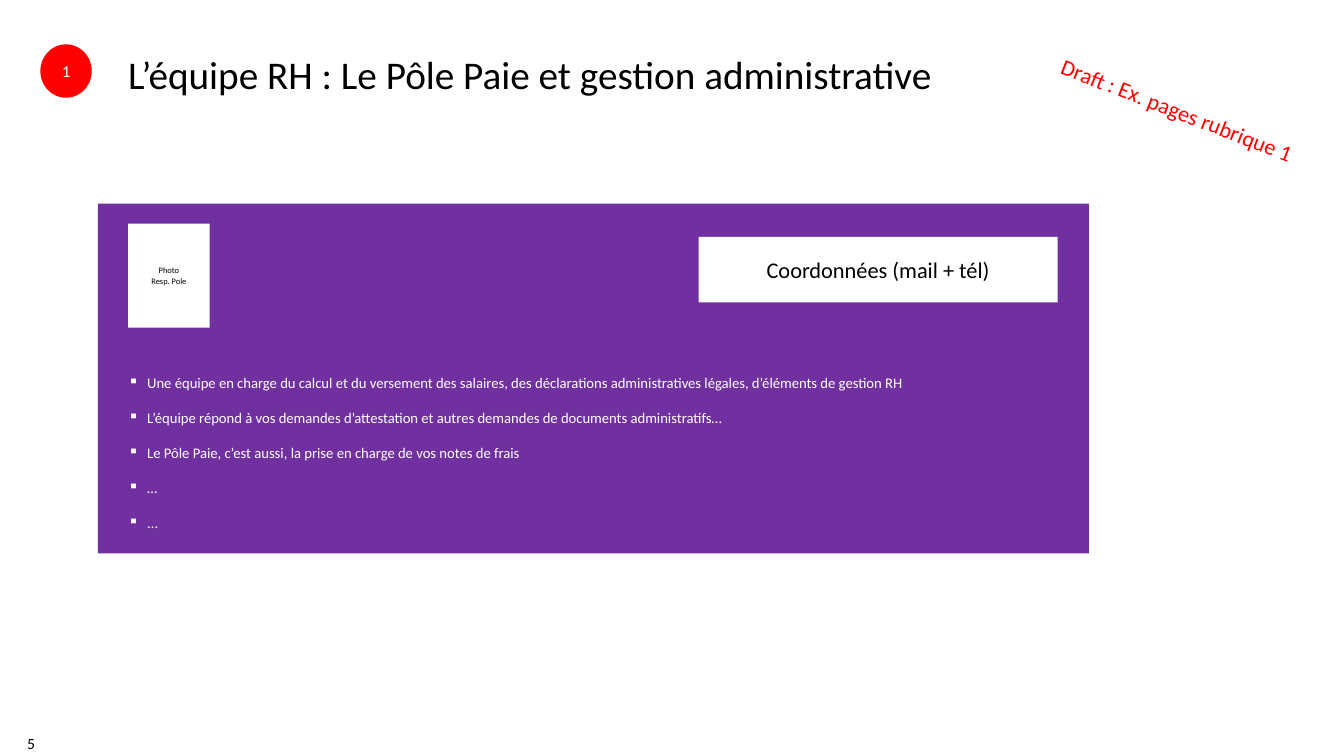
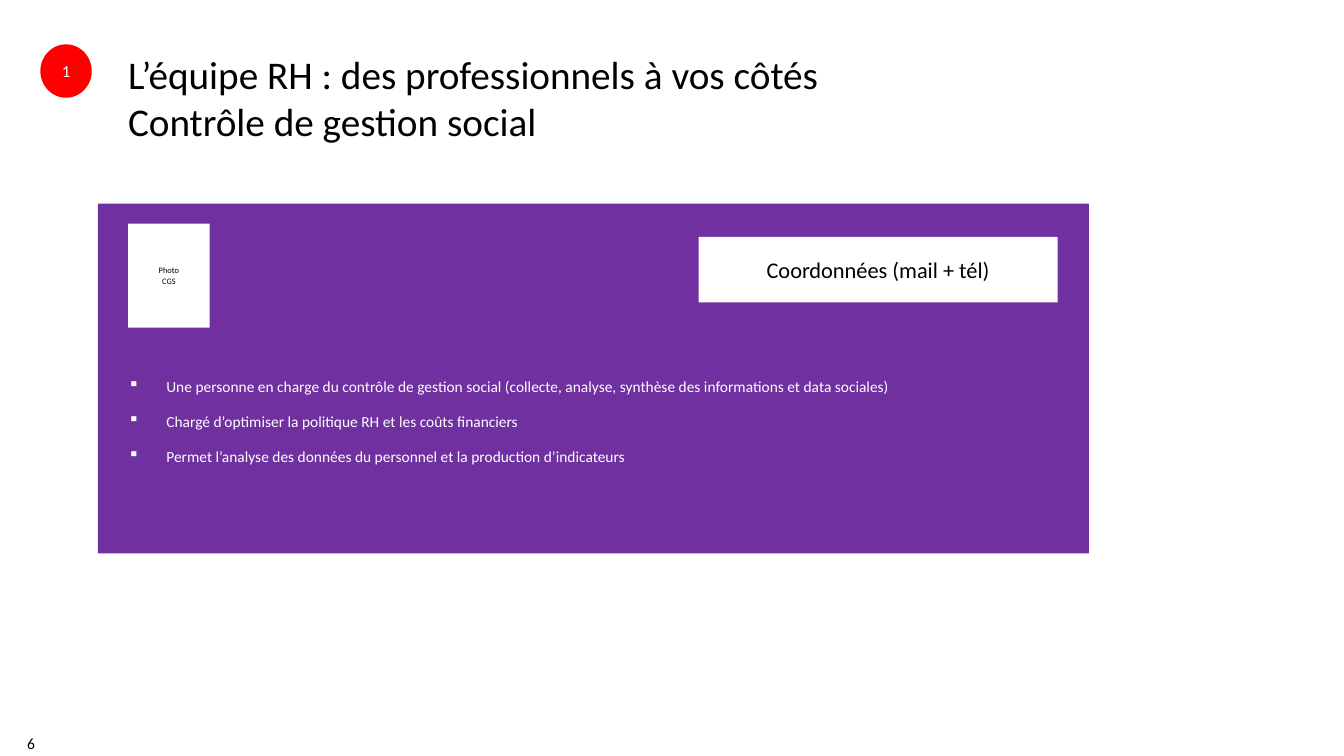
import pptx
import pptx.dml.color
import pptx.enum.shapes
import pptx.enum.text
import pptx.oxml.ns
import pptx.util
from dataclasses import dataclass
from lxml import etree

Inches = pptx.util.Inches
Pt = pptx.util.Pt
RGB = pptx.dml.color.RGBColor
Align = pptx.enum.text.PP_ALIGN
Anchor = pptx.enum.text.MSO_ANCHOR
Shape = pptx.enum.shapes.MSO_SHAPE


@dataclass(frozen=True)
class Theme:
    font: str = "Calibri"
    ink: str = "000000"
    paper: str = "FFFFFF"
    panel: str = "7030A0"
    accent: str = "FF0000"
    title_size: float = 28
    label_size: float = 16
    badge_size: float = 12
    number_size: float = 11.1
    photo_size: float = 6
    bullet_pitch: float = 25.2
    line_height: float = 1.22


def write(frame, text, *, size, color, font, align=Align.LEFT,
          anchor=Anchor.TOP, inset=0, space_after=0):
    """Put each line of text in a paragraph of its own."""
    frame.word_wrap = True
    frame.vertical_anchor = anchor
    frame.margin_left = frame.margin_right = Inches(inset)
    frame.margin_top = frame.margin_bottom = Inches(inset)
    for index, line in enumerate(text.split("\n")):
        paragraph = frame.paragraphs[0] if index == 0 else frame.add_paragraph()
        paragraph.alignment = align
        paragraph.space_after = Pt(space_after)
        run = paragraph.add_run()
        run.text = line
        run.font.size = Pt(size)
        run.font.name = font
        run.font.color.rgb = RGB.from_string(color)


class Deck:
    def __init__(self, theme):
        self.theme = theme
        self.presentation = pptx.Presentation()
        self.presentation.slide_width = Inches(13.33)
        self.presentation.slide_height = Inches(7.5)
        self.slide = None

    def new_slide(self, title, number):
        blank = self.presentation.slide_layouts[6]
        self.slide = self.presentation.slides.add_slide(blank)
        self.label(title, (1.27, 0.5, 10.5, 0.96), size=self.theme.title_size)
        self.label(number, (0.27, 7.32, 0.39, 0.1),
                   size=self.theme.number_size, anchor=Anchor.MIDDLE)

    def label(self, text, box, *, size, color=None, rotation=0, **style):
        textbox = self.slide.shapes.add_textbox(*map(Inches, box))
        textbox.rotation = rotation
        write(textbox.text_frame, text, size=size, font=self.theme.font,
              color=color or self.theme.ink, **style)
        return textbox

    def block(self, box, fill, text="", *, kind=Shape.RECTANGLE, size=12, color=None):
        block = self.slide.shapes.add_shape(kind, *map(Inches, box))
        block.shadow.inherit = False
        block.fill.solid()
        block.fill.fore_color.rgb = RGB.from_string(fill)
        block.line.fill.background()
        if text:
            write(block.text_frame, text, size=size, font=self.theme.font,
                  color=color or self.theme.ink, align=Align.CENTER,
                  anchor=Anchor.MIDDLE, inset=0.08)

    def bullets(self, lines, *, top, size, indent):
        gap = self.theme.bullet_pitch - size * self.theme.line_height
        listing = self.label("\n".join(lines), (1.27, top, 9.22, 1.59), size=size,
                             color=self.theme.paper, align=Align.JUSTIFY,
                             space_after=gap)
        for paragraph in listing.text_frame.paragraphs:
            properties = paragraph._p.get_or_add_pPr()
            properties.set("marL", str(Inches(indent)))
            properties.set("indent", str(-Inches(indent)))
            marker = etree.SubElement(properties, pptx.oxml.ns.qn("a:buChar"))
            marker.set("char", "▪")

    def team_card(self, photo, duties, **bullet_style):
        theme = self.theme
        self.block((0.97, 2.02, 9.83, 3.47), theme.panel)
        self.bullets(duties, **bullet_style)
        self.block((1.27, 2.22, 0.81, 1.03), theme.paper, photo, size=theme.photo_size)
        self.block((0.4, 0.44, 0.51, 0.53), theme.accent, "1", kind=Shape.OVAL,
                   size=theme.badge_size, color=theme.paper)
        self.block((6.93, 2.35, 3.56, 0.65), theme.paper,
                   "Coordonnées (mail + tél)", size=theme.label_size)

    def draft_mark(self, text):
        self.label(text, (10.44, 1.04, 2.9, 0.27), size=self.theme.label_size,
                   color=self.theme.accent, rotation=21.3)


def main():
    deck = Deck(Theme())

    deck.new_slide("L’équipe RH : Le Pôle Paie et gestion administrative", "5")
    deck.team_card("Photo\nResp. Pole", [
        "Une équipe en charge du calcul et du versement des salaires, "
        "des déclarations administratives légales, d’éléments de gestion RH",
        "L’équipe répond à vos demandes d’attestation et autres demandes "
        "de documents administratifs…",
        "Le Pôle Paie, c’est aussi, la prise en charge de vos notes de frais",
        "…",
        "...",
    ], top=3.71, size=10.5, indent=0.19)
    deck.draft_mark("Draft : Ex. pages rubrique 1")

    deck.new_slide("L’équipe RH : des professionnels à vos côtés\n"
                   "Contrôle de gestion social", "6")
    deck.team_card("Photo\nCGS", [
        "Une personne en charge du contrôle de gestion social "
        "(collecte, analyse, synthèse des informations et data sociales)",
        "Chargé d’optimiser la politique RH et les coûts financiers",
        "Permet l’analyse des données du personnel et la production d’indicateurs",
    ], top=3.74, size=11, indent=0.38)

    deck.presentation.save("out.pptx")


if __name__ == "__main__":
    main()
